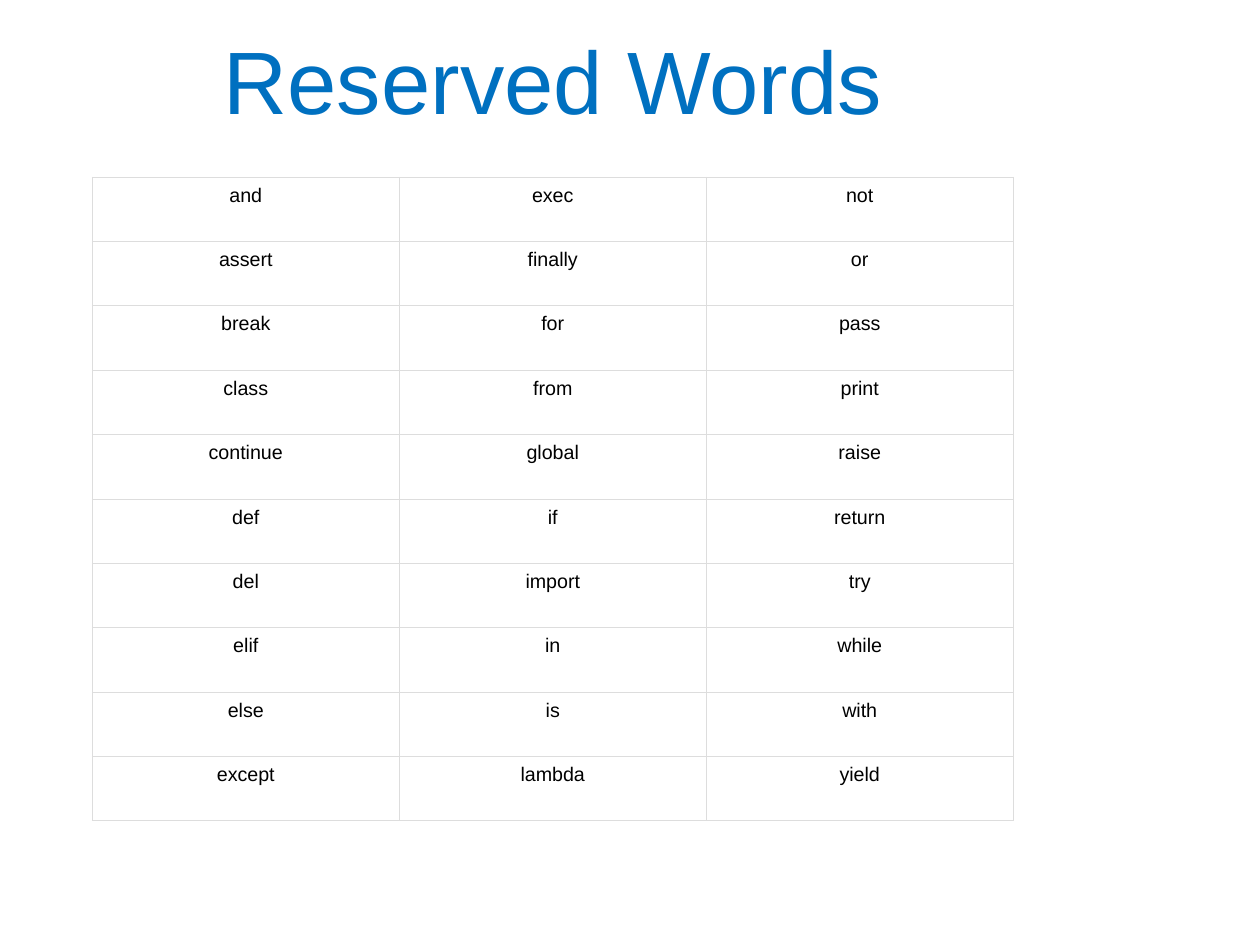
"""Build the Reserved Words slide: a title above a three-column keyword table."""
from dataclasses import dataclass

from lxml.etree import SubElement
from pptx import Presentation
from pptx.dml.color import RGBColor
from pptx.enum.text import MSO_ANCHOR, PP_ALIGN
from pptx.oxml.ns import qn
from pptx.util import Pt

TITLE = "Reserved Words"
KEYWORD_COLUMNS = [
    ["and", "assert", "break", "class", "continue",
     "def", "del", "elif", "else", "except"],
    ["exec", "finally", "for", "from", "global",
     "if", "import", "in", "is", "lambda"],
    ["not", "or", "pass", "print", "raise",
     "return", "try", "while", "with", "yield"],
]


@dataclass(frozen=True)
class Theme:
    font: str = "Arial"
    title_color: str = "0070C0"
    text_color: str = "000000"
    border_color: str = "DDDDDD"
    title_size: float = 72
    text_size: float = 16
    border_width: float = 0.75


THEME = Theme()
SLIDE_W, SLIDE_H = 1024, 768
LEFT, WIDTH = 75, 748.5
TITLE_TOP, TITLE_H, TITLE_INSET = 17, 94.5, 4.5
TABLE_TOP, TABLE_H, CELL_INSET = 144, 523, 6


def write_text(tf, text, *, size, color):
    p = tf.paragraphs[0]
    p.alignment = PP_ALIGN.CENTER
    r = p.add_run()
    r.text = text
    r.font.name = THEME.font
    r.font.size = Pt(size)
    r.font.color.rgb = RGBColor.from_string(color)


def set_margins(box, inset):
    box.margin_left = box.margin_right = Pt(inset)
    box.margin_top = box.margin_bottom = Pt(inset)


def add_borders(cell):
    tc_pr = cell._tc.get_or_add_tcPr()
    for side in ("lnL", "lnR", "lnT", "lnB"):
        ln = SubElement(tc_pr, qn(f"a:{side}"), w=str(Pt(THEME.border_width)))
        fill = SubElement(ln, qn("a:solidFill"))
        SubElement(fill, qn("a:srgbClr"), val=THEME.border_color)


prs = Presentation()
prs.slide_width, prs.slide_height = Pt(SLIDE_W), Pt(SLIDE_H)
s = prs.slides.add_slide(prs.slide_layouts[6])

sp = s.shapes.add_textbox(Pt(LEFT), Pt(TITLE_TOP), Pt(WIDTH), Pt(TITLE_H))
tf = sp.text_frame
tf.word_wrap = True
tf.vertical_anchor = MSO_ANCHOR.MIDDLE
set_margins(tf, TITLE_INSET)
write_text(tf, TITLE, size=THEME.title_size, color=THEME.title_color)

rows, cols = len(KEYWORD_COLUMNS[0]), len(KEYWORD_COLUMNS)
table = s.shapes.add_table(
    rows, cols, Pt(LEFT), Pt(TABLE_TOP), Pt(WIDTH), Pt(TABLE_H)).table
table.first_row = table.horz_banding = False

for col, keywords in enumerate(KEYWORD_COLUMNS):
    for row, keyword in enumerate(keywords):
        cell = table.cell(row, col)
        write_text(cell.text_frame, keyword,
                   size=THEME.text_size, color=THEME.text_color)
        set_margins(cell, CELL_INSET)
        add_borders(cell)
        cell.fill.background()

prs.save("out.pptx")
